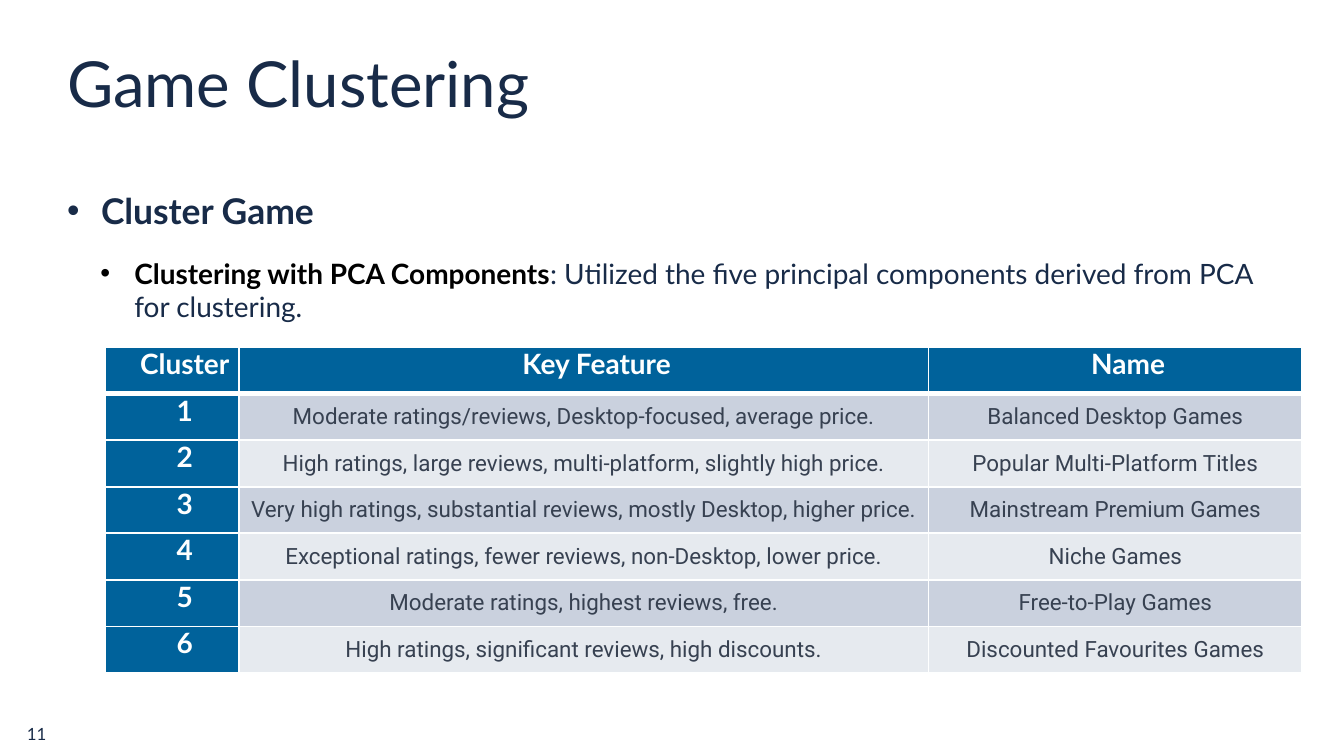
from lxml import etree
from pptx import Presentation
from pptx import util as u
from pptx.dml.color import RGBColor
from pptx.enum import text
from pptx.oxml import ns

NAVY = RGBColor(0x18, 0x2B, 0x48)
BLACK = RGBColor(0, 0, 0)
WHITE = RGBColor(0xFE, 0xFF, 0xFF)
BLUE = RGBColor(0x00, 0x62, 0x9B)
GRAY = RGBColor(0x37, 0x41, 0x51)
DARK = RGBColor(0xCA, 0xD1, 0xDE)
LIGHT = RGBColor(0xE6, 0xEA, 0xEF)

HEADS = ("Cluster", "Key Feature", "Name")
GROUPS = (
    ("Moderate ratings/reviews, Desktop-focused, average price.",
     "Balanced Desktop Games"),
    ("High ratings, large reviews, multi-platform, slightly high price.",
     "Popular Multi-Platform Titles"),
    ("Very high ratings, substantial reviews, mostly Desktop, higher price.",
     "Mainstream Premium Games"),
    ("Exceptional ratings, fewer reviews, non-Desktop, lower price.",
     "Niche Games"),
    ("Moderate ratings, highest reviews, free.", "Free-to-Play Games"),
    ("High ratings, significant reviews, high discounts.",
     "Discounted Favourites Games"),
)
WIDTHS = (2.54, 13.03, 7.06)
HEIGHT = 0.88


def add_run(para, words, size, color=NAVY, bold=False, face="Lato"):
    run = para.add_run()
    run.text = words
    font = run.font
    font.name, font.size, font.bold = face, u.Pt(size), bold
    font.color.rgb = color


def add_box(slide, left, top, width, height, wrap=True):
    box = slide.shapes.add_textbox(
        u.Cm(left), u.Cm(top), u.Cm(width), u.Cm(height))
    frame = box.text_frame
    frame.margin_left = frame.margin_right = 0
    frame.margin_top = frame.margin_bottom = 0
    frame.word_wrap = wrap
    return frame


def set_bullet(para, left):
    props = para._p.get_or_add_pPr()
    props.set("marL", str(u.Cm(left)))
    props.set("indent", str(-u.Cm(0.64)))
    etree.SubElement(props, ns.qn("a:buFont")).set("typeface", "Arial")
    etree.SubElement(props, ns.qn("a:buChar")).set("char", "•")


def set_edges(cell, base):
    """Draw white borders, with the bottom one base points wide."""
    props = cell._tc.get_or_add_tcPr()
    for side, width in zip("LRTB", (1, 1, 1, base)):
        line = etree.SubElement(props, ns.qn(f"a:ln{side}"))
        line.set("w", str(u.Pt(width)))
        fill = etree.SubElement(line, ns.qn("a:solidFill"))
        etree.SubElement(fill, ns.qn("a:srgbClr")).set("val", str(WHITE))


def fill_cell(cell, words, row, col):
    cell.margin_left = cell.margin_right = 0
    cell.margin_top = cell.margin_bottom = 0
    set_edges(cell, 1 if row else 3)
    cell.fill.solid()
    para = cell.text_frame.paragraphs[0]
    para.alignment = text.PP_ALIGN.CENTER
    if row == 0 or col == 0:
        cell.fill.fore_color.rgb = BLUE
        para._p.get_or_add_pPr().set("indent", str(u.Cm(0.48)))
        add_run(para, words, 15, WHITE, True)
    else:
        cell.fill.fore_color.rgb = DARK if row % 2 else LIGHT
        cell.vertical_anchor = text.MSO_ANCHOR.MIDDLE
        add_run(para, words, 12, GRAY, face="Roboto")


def add_grid(slide):
    rows = [HEADS] + [(str(n), *g) for n, g in enumerate(GROUPS, 1)]
    frame = slide.shapes.add_table(
        len(rows), len(WIDTHS), u.Cm(1.98), u.Cm(6.56),
        u.Cm(sum(WIDTHS)), u.Cm(HEIGHT * len(rows)))
    table = frame.table
    for col, width in zip(table.columns, WIDTHS):
        col.width = u.Cm(width)
    for r, row in enumerate(rows):
        table.rows[r].height = u.Cm(HEIGHT)
        for c, words in enumerate(row):
            fill_cell(table.cell(r, c), words, r, c)


def add_title(slide):
    para = add_box(slide, 1.27, 1.12, 17.7, 1.8).paragraphs[0]
    para.line_spacing = 0.8
    add_run(para, "Game Clustering", 34)


def add_body(slide):
    frame = add_box(slide, 1.27, 3.58, 22.86, 8.69)
    head = frame.paragraphs[0]
    set_bullet(head, 0.64)
    add_run(head, "Cluster Game", 19, bold=True)
    item = frame.add_paragraph()
    item.level = 1
    set_bullet(item, 1.27)
    item.space_before = u.Pt(13)
    add_run(item, "Clustering with PCA Components", 15, BLACK, True)
    add_run(item, ": Utilized the five principal components derived "
            "from PCA for clustering.", 15)


def add_number(slide):
    frame = add_box(slide, 0.51, 13.69, 0.4, 0.38, wrap=False)
    frame.auto_size = text.MSO_AUTO_SIZE.SHAPE_TO_FIT_TEXT
    frame.vertical_anchor = text.MSO_ANCHOR.MIDDLE
    add_run(frame.paragraphs[0], "11", 9)


def main():
    deck = Presentation()
    deck.slide_width, deck.slide_height = u.Cm(25.4), u.Cm(14.29)
    slide = deck.slides.add_slide(deck.slide_layouts[6])
    add_title(slide)
    add_body(slide)
    add_number(slide)
    add_grid(slide)
    deck.save("out.pptx")


if __name__ == "__main__":
    main()
